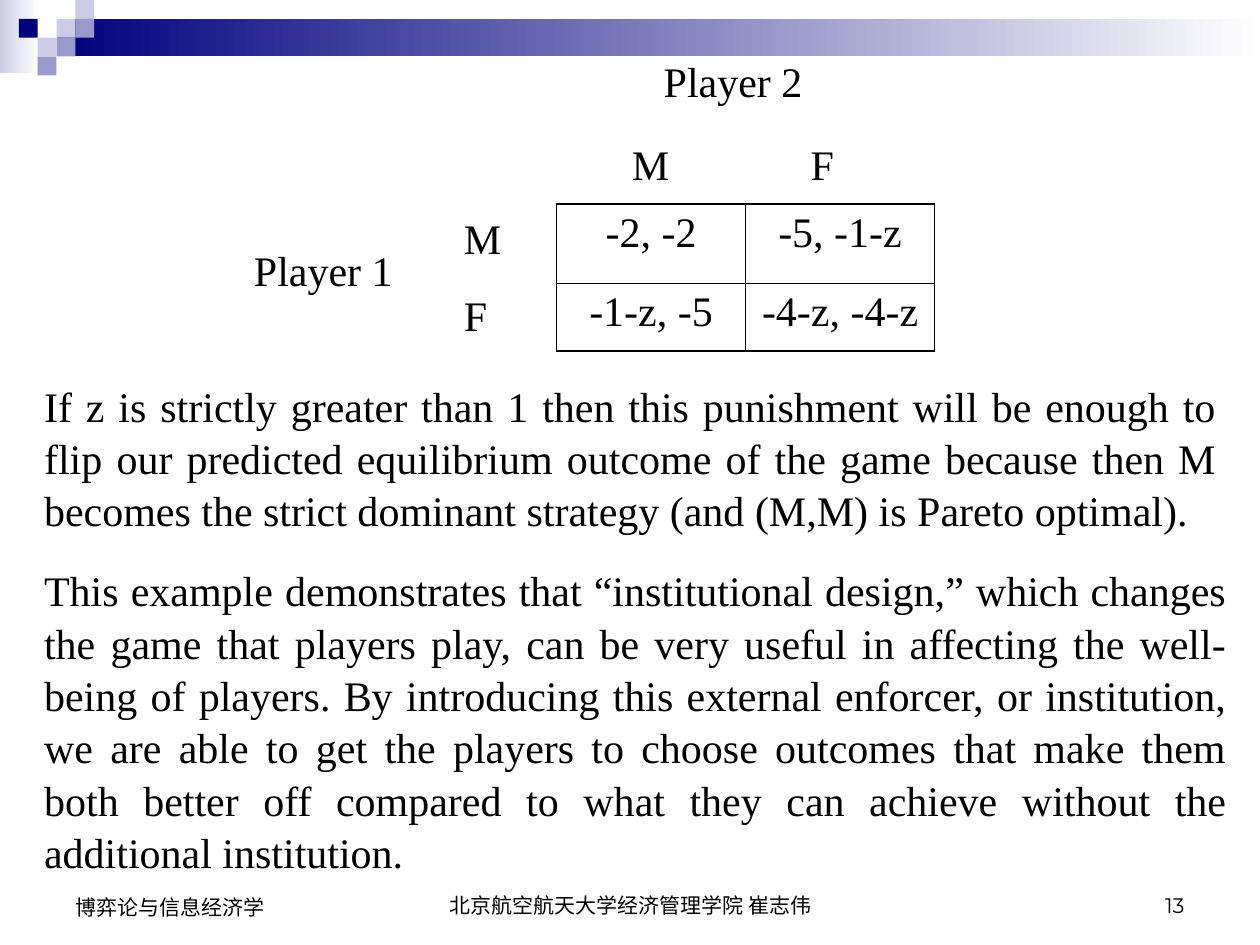
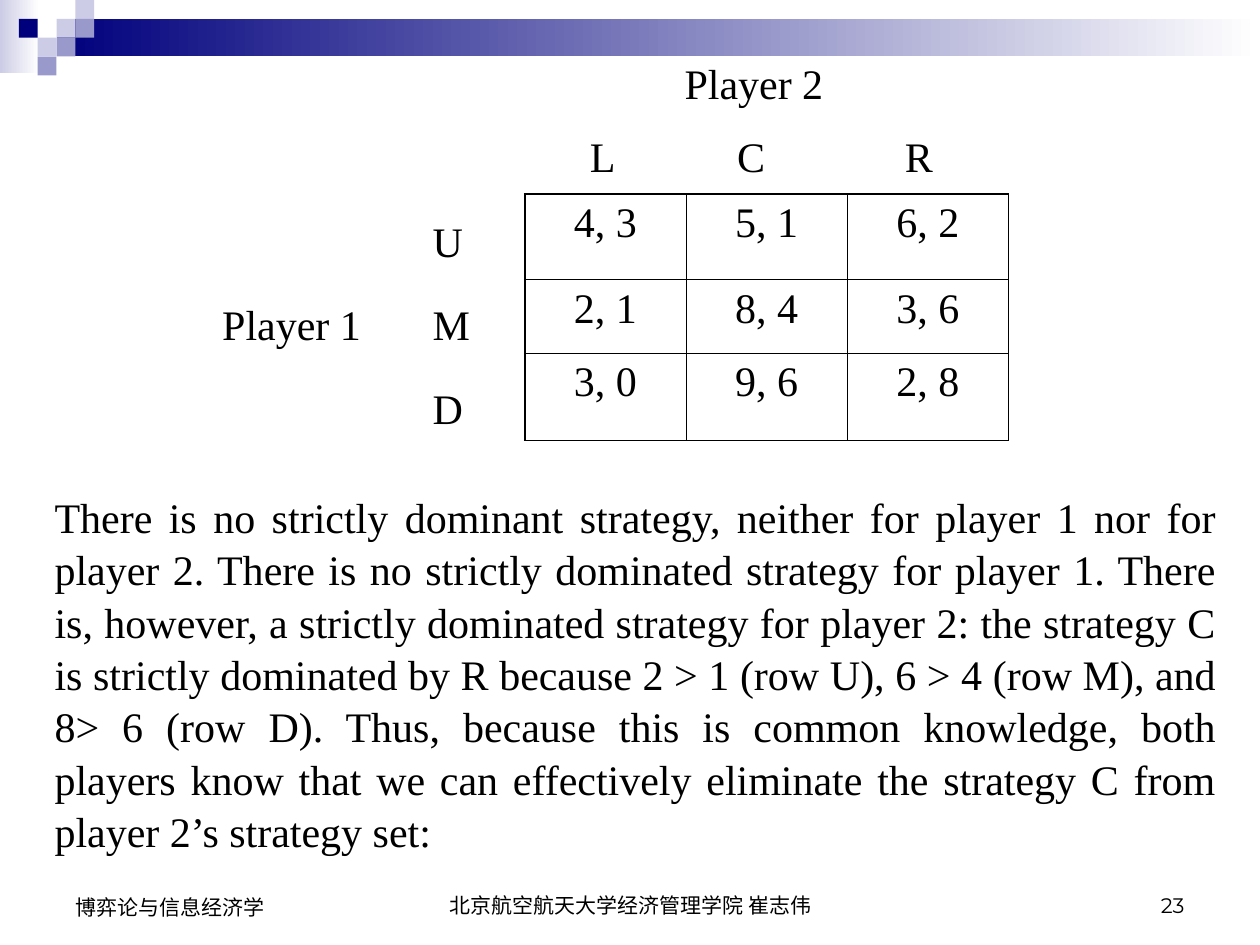
from dataclasses import dataclass
from lxml.etree import SubElement as Sub
from pptx import Presentation as Deck
from pptx.dml.color import RGBColor as Rgb
from pptx.enum.shapes import MSO_SHAPE as Form
from pptx.enum.text import MSO_ANCHOR as Anchor, MSO_AUTO_SIZE as Fit, PP_ALIGN as Align
from pptx.oxml.ns import qn
from pptx.util import Cm, Pt


@dataclass(frozen=True)
class Theme:
    """Hold the colours, fonts, type sizes and line widths."""
    ink: str = "000000"
    navy: str = "00007D"
    mid: str = "9999CC"
    pale: str = "CCCCE6"
    white: str = "FFFFFF"
    serif: str = "Times New Roman"
    sans: str = "Arial"
    digit: str = "Montserrat"
    body: float = 24
    small: float = 12
    lead: float = 1.04
    thick: float = 1.08
    thin: float = 0.45


LOOK = Theme()
STEP = 0.38
TILES = [(3, 1, LOOK.pale), (4, 0, LOOK.pale), (4, 1, LOOK.mid), (2, 2, LOOK.pale),
         (1, 1, LOOK.navy), (3, 2, LOOK.mid), (2, 3, LOOK.mid)]
FADES = [((0, 0, 0.79, 1.47), LOOK.pale), ((1.14, STEP, 24.26, 2 * STEP), LOOK.navy)]
FEET = [((8.69, 17.35, 8.05, 1.27), Align.CENTER, LOOK.sans, "北京航空航天大学经济管理学院 崔志伟"),
        ((1.27, 17.35, 5.92, 1.32), Align.LEFT, LOOK.sans, "博弈论与信息经济学")]


def put(item, vals):
    """Set each named value on an item."""
    for name, val in vals.items():
        setattr(item, name, val)


def style(para, face=LOOK.serif, size=LOOK.body, **form):
    """Give a paragraph its font and format."""
    put(para, form)
    put(para.font, {"name": face, "size": Pt(size)})
    para.font.color.rgb = Rgb.from_string(LOOK.ink)


def write(slide, box, text, frame, **form):
    """Add a text box."""
    area = slide.shapes.add_textbox(*map(Cm, box)).text_frame
    put(area, {"word_wrap": True, **frame})
    area.text = text
    style(area.paragraphs[0], **form)


def say(slide, box, text, align=Align.LEFT):
    """Add body text or a label that grows with its words."""
    write(slide, box, text, {"auto_size": Fit.SHAPE_TO_FIT_TEXT},
          alignment=align, line_spacing=LOOK.lead)


def block(slide, box, tint, fade=False):
    """Add a plain or fading block."""
    shape = slide.shapes.add_shape(Form.RECTANGLE, *map(Cm, box))
    shape.shadow.inherit = False
    shape.line.fill.background()
    if not fade:
        shape.fill.solid()
        shape.fill.fore_color.rgb = Rgb.from_string(tint)
        return
    shape.fill.gradient()
    shape.fill.gradient_angle = 0
    for stop, hue in zip(shape.fill.gradient_stops, (tint, LOOK.white)):
        stop.color.rgb = Rgb.from_string(hue)


def edge(cell, side, width):
    """Draw one border of a cell."""
    line = Sub(cell._tc.get_or_add_tcPr(), qn(f"a:ln{side}"), w=str(Pt(width)))
    Sub(Sub(line, qn("a:solidFill")), qn("a:srgbClr"), val=LOOK.ink)


def grid(slide, left, top, wide, highs, rows):
    """Add a payoff table with thick outer lines."""
    count = len(rows[0])
    table = slide.shapes.add_table(len(rows), count, Cm(left), Cm(top),
                                   Cm(wide * count), Cm(sum(highs))).table
    put(table, {"first_row": False, "horz_banding": False})
    for col in table.columns:
        col.width = Cm(wide)
    for r, (high, row) in enumerate(zip(highs, rows)):
        table.rows[r].height = Cm(high)
        for c, text in enumerate(row):
            cell = table.cell(r, c)
            cell.text = text
            style(cell.text_frame.paragraphs[0], alignment=Align.CENTER)
            outer = {"L": c == 0, "R": c == count - 1, "T": r == 0, "B": r == len(rows) - 1}
            for side, rim in outer.items():
                edge(cell, side, LOOK.thick if rim else LOOK.thin)
            cell.fill.background()


def frame(deck, page):
    """Add a slide with its top band and footer."""
    slide = deck.slides.add_slide(deck.slide_layouts[6])
    for box, tint in FADES:
        block(slide, box, tint, True)
    for col, row, tint in TILES:
        block(slide, (col * STEP, row * STEP, STEP, STEP), tint)
    number = ((18.21, 17.35, 5.92, 1.27), Align.RIGHT, LOOK.digit, page)
    for box, align, face, text in [*FEET, number]:
        write(slide, box, text, {"vertical_anchor": Anchor.BOTTOM},
              face=face, size=LOOK.small, alignment=align)
    return slide


def game(slide, table, one, two, side, head):
    """Add a game with its player names and move labels."""
    grid(slide, *table)
    say(slide, (*one, 3.39, 1.27), "Player 1")
    say(slide, (*two, 4.66, 1.27), "Player 2")
    left, downs = side
    top, overs = head
    spots = [(left, y, move) for move, y in downs.items()]
    spots += [(x, top, move) for move, x in overs.items()]
    for x, y, move in spots:
        say(slide, (x, y, 1.48, 1.27), move)


def main():
    """Build and save the deck."""
    deck = Deck()
    put(deck, {"slide_width": Cm(25.4), "slide_height": Cm(19.05)})

    slide = frame(deck, "13")
    game(slide, (11.22, 4.11, 3.81, (1.6, 1.37),
                 [("-2, -2", "-5, -1-z"), ("-1-z, -5", "-4-z, -4-z")]),
         (4.87, 4.76), (13.13, 0.95),
         (9.1, {"M": 4.11, "F": 5.67}), (2.62, {"M": 12.49, "F": 16.09}))
    say(slide, (0.64, 7.5, 24.13, 3.3),
        "If z is strictly greater than 1 then this punishment will be enough to flip our "
        "predicted equilibrium outcome of the game because then M becomes the strict "
        "dominant strategy (and (M,M) is Pareto optimal).", Align.JUSTIFY)
    say(slide, (0.64, 11.22, 24.34, 6.35),
        "This example demonstrates that “institutional design,” which changes the game that "
        "players play, can be very useful in affecting the well-being of players. By "
        "introducing this external enforcer, or institution, we are able to get the players "
        "to choose outcomes that make them both better off compared to what they can achieve "
        "without the additional institution.", Align.JUSTIFY)

    slide = frame(deck, "23")
    game(slide, (10.58, 3.91, 3.25, (1.73, 1.48, 1.76),
                 [("4, 3", "5, 1", "6, 2"), ("2, 1", "8, 4", "3, 6"), ("3, 0", "9, 6", "2, 8")]),
         (4.23, 5.86), (13.55, 0.99),
         (8.47, {"U": 4.17, "M": 5.86, "D": 7.55}),
         (2.46, {"L": 11.64, "C": 14.61, "R": 17.99}))
    say(slide, (0.85, 9.74, 23.92, 7.37),
        "There is no strictly dominant strategy, neither for player 1 nor for player 2. There "
        "is no strictly dominated strategy for player 1. There is, however, a strictly "
        "dominated strategy for player 2: the strategy C is strictly dominated by R because "
        "2 > 1 (row U), 6 > 4 (row M), and 8> 6 (row D). Thus, because this is common "
        "knowledge, both players know that we can effectively eliminate the strategy C from "
        "player 2’s strategy set:", Align.JUSTIFY)

    deck.save("out.pptx")


if __name__ == "__main__":
    main()
